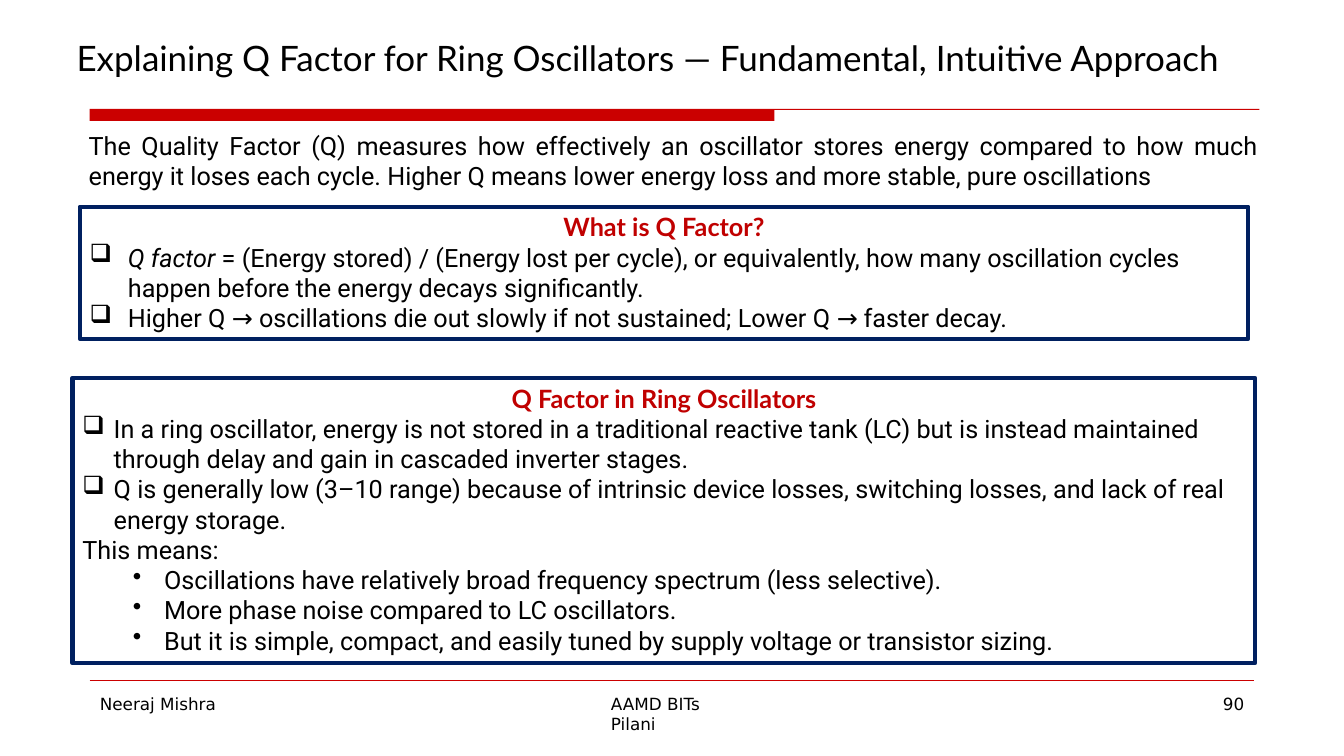
import lxml.etree
import pptx
import pptx.dml.color
import pptx.enum.shapes
import pptx.enum.text
import pptx.oxml
import pptx.oxml.ns
import pptx.util

PX = 9144  # one px is a hundredth of an inch
COLORS = {"text": "000000", "rule": "CB0000", "heading": "C00000", "frame": "002060"}
ALIGN = pptx.enum.text.PP_ALIGN
SQUARE, DOT = "❑", "•"


def px(*lengths):
    return [pptx.util.Emu(length * PX) for length in lengths]


def color(name):
    return pptx.dml.color.RGBColor.from_string(COLORS[name])


def set_font(para, name, size, ink="text", bold=False):
    para.font.name = name
    para.font.size = pptx.util.Pt(size)
    para.font.bold = bold
    para.font.color.rgb = color(ink)


def set_bullet(para, symbol, indent, hanging):
    props = para._p.get_or_add_pPr()
    props.set("marL", str(indent * PX))
    props.set("indent", str(-hanging * PX))
    bullet = lxml.etree.SubElement(props, pptx.oxml.ns.qn("a:buChar"))
    bullet.set("char", symbol)


def add_text(page, box, text, font, size, align=ALIGN.LEFT):
    frame = page.shapes.add_textbox(*px(*box)).text_frame
    frame.word_wrap = True
    frame.margin_left = frame.margin_right = frame.margin_top = frame.margin_bottom = 0
    para = frame.paragraphs[0]
    para.text = text
    para.alignment = align
    set_font(para, font, size)


def add_header(page, box):
    left, top, width, height = box
    add_text(page, (left - 13, top - 72, 1206, 42),
             "Explaining Q Factor for Ring Oscillators — Fundamental, Intuitive Approach",
             "Lato", 25)
    # Red bar that narrows into a thin rule
    bar_right, right = left + 679, left + width
    builder = page.shapes.build_freeform(right, top, scale=PX)
    builder.add_line_segments([(left, top), (left, top + height), (bar_right, top + height),
                               (bar_right, top + 1), (right, top + 1)])
    bar = builder.convert_to_shape()
    bar.shadow.inherit = False
    bar.fill.solid()
    bar.fill.fore_color.rgb = color("rule")
    bar.line.fill.background()


def add_panel(page, box, heading, items):
    """Framed panel; each item is (bullet, indent, hanging, italic lead, text)."""
    panel = page.shapes.add_shape(pptx.enum.shapes.MSO_SHAPE.RECTANGLE, *px(*box))
    panel.shadow.inherit = False
    panel.fill.background()
    panel.line.color.rgb = color("frame")
    panel.line.width = pptx.util.Pt(3)
    frame = panel.text_frame
    frame.word_wrap = True
    frame.vertical_anchor = pptx.enum.text.MSO_ANCHOR.TOP
    title = frame.paragraphs[0]
    title.text = heading
    title.alignment = ALIGN.CENTER
    set_font(title, "Lato", 18, "heading", bold=True)
    for symbol, indent, hanging, lead, text in items:
        para = frame.add_paragraph()
        para.alignment = ALIGN.LEFT
        if symbol:
            set_bullet(para, symbol, indent, hanging)
        if symbol == DOT:
            para.level = 1
        set_font(para, "Roboto", 18)
        if lead:
            span = para.add_run()
            span.text = lead
            span.font.italic = True
        para.add_run().text = text


def add_footer(page, box):
    left, top, width = box
    rule = page.shapes.add_connector(pptx.enum.shapes.MSO_CONNECTOR.STRAIGHT,
                                     *px(left, top, left + width, top))
    rule.line.color.rgb = color("rule")
    rule.line.width = pptx.util.Pt(0.25)
    lxml.etree.SubElement(rule._element.spPr, pptx.oxml.ns.qn("a:effectLst"))
    for offset, label_width, label in ((10, 119, "Neeraj Mishra"),
                                       (517, 124, "AAMD BITs Pilani"),
                                       (1124, 27, "90")):
        add_text(page, (left + offset, top + 13, label_width, 23), label, "DejaVu Sans", 12)


def main():
    deck = pptx.Presentation()
    deck.slide_width, deck.slide_height = px(1333, 750)
    page = deck.slides.add_slide(deck.slide_layouts[6])

    add_header(page, (89, 108, 1160, 12))
    add_text(page, (88, 129, 1160, 94),
             "The Quality Factor (Q) measures how effectively an oscillator stores energy "
             "compared to how much energy it loses each cycle. Higher Q means lower energy "
             "loss and more stable, pure oscillations", "Roboto", 18, ALIGN.JUSTIFY)
    add_footer(page, (89, 675, 1155))
    add_panel(page, (79, 205, 1159, 131), "What is Q Factor?", [
        (SQUARE, 38, 38, "Q factor",
         " = (Energy stored) / (Energy lost per cycle), or equivalently, how many "
         "oscillation cycles happen before the energy decays significantly."),
        (SQUARE, 38, 38, "",
         "Higher Q → oscillations die out slowly if not sustained; Lower Q → faster decay."),
    ])
    add_panel(page, (72, 375, 1173, 283), "Q Factor in Ring Oscillators", [
        (SQUARE, 31, 31, "",
         "In a ring oscillator, energy is not stored in a traditional reactive tank (LC) but "
         "is instead maintained through delay and gain in cascaded inverter stages."),
        (SQUARE, 31, 31, "",
         "Q is generally low (3–10 range) because of intrinsic device losses, switching "
         "losses, and lack of real energy storage."),
        ("", 0, 0, "", "This means:"),
        (DOT, 81, 31, "",
         "Oscillations have relatively broad frequency spectrum (less selective)."),
        (DOT, 81, 31, "", "More phase noise compared to LC oscillators."),
        (DOT, 81, 31, "",
         "But it is simple, compact, and easily tuned by supply voltage or transistor sizing."),
    ])
    deck.save("out.pptx")


if __name__ == "__main__":
    main()
